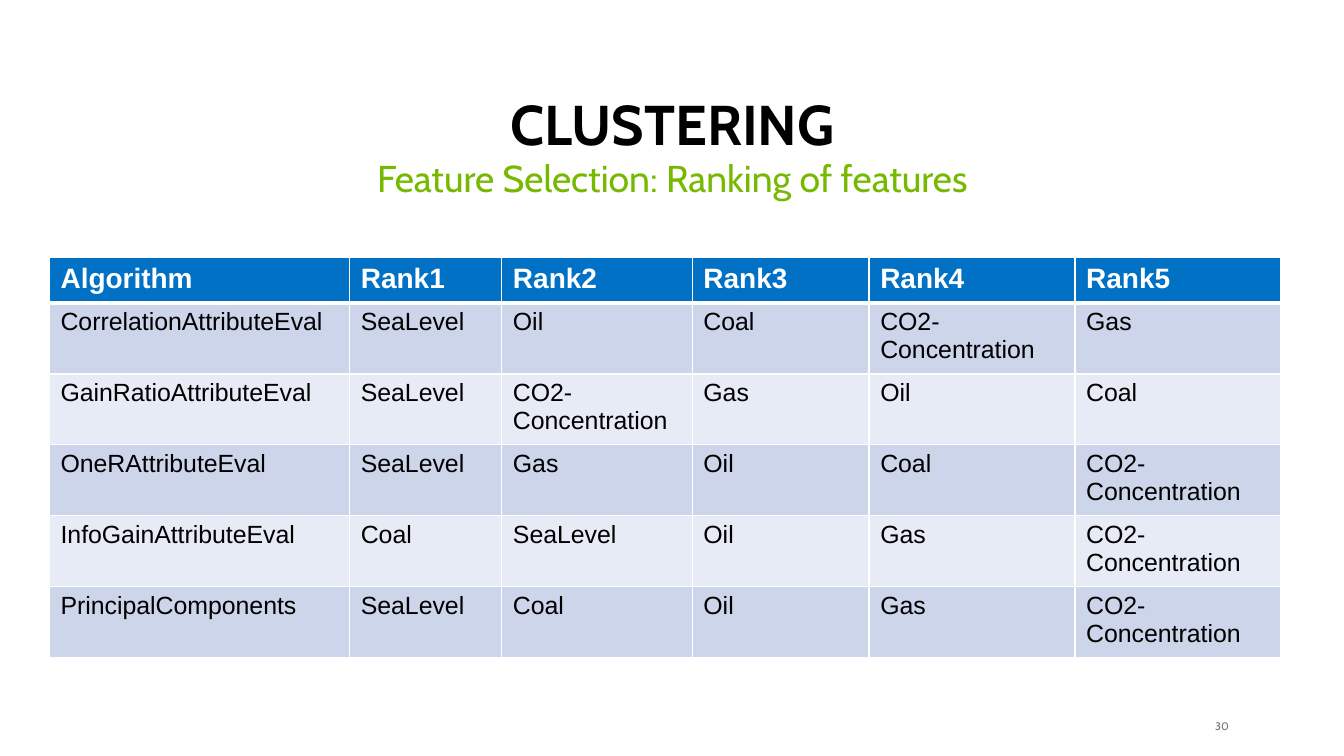
import lxml.etree
import pptx
import pptx.dml.color
import pptx.enum.text
import pptx.oxml.ns
import pptx.util

Cm = pptx.util.Cm
Pt = pptx.util.Pt
ALIGN = pptx.enum.text.PP_ALIGN
ANCHOR = pptx.enum.text.MSO_ANCHOR

COLUMN_WIDTHS = [6.81, 3.45, 4.32, 4.01, 4.67, 4.67]
ROW_HEIGHTS = [1.03, 1.5, 1.51, 1.56, 1.56, 1.56]
RANKING = [
    ["Algorithm", "Rank1", "Rank2", "Rank3", "Rank4", "Rank5"],
    ["CorrelationAttributeEval", "SeaLevel", "Oil", "Coal", "CO2-Concentration", "Gas"],
    ["GainRatioAttributeEval", "SeaLevel", "CO2-Concentration", "Gas", "Oil", "Coal"],
    ["OneRAttributeEval", "SeaLevel", "Gas", "Oil", "Coal", "CO2-Concentration"],
    ["InfoGainAttributeEval", "Coal", "SeaLevel", "Oil", "Gas", "CO2-Concentration"],
    ["PrincipalComponents", "SeaLevel", "Coal", "Oil", "Gas", "CO2-Concentration"],
]


def color(value):
    """Return the colour for a hex string."""
    return pptx.dml.color.RGBColor.from_string(value)


def style(paragraph, font, size, ink, bold=False):
    """Set the font of a whole paragraph."""
    paragraph.font.name = font
    paragraph.font.size = Pt(size)
    paragraph.font.bold = bold
    paragraph.font.color.rgb = color(ink)


def add_line(slide, box, text, size, ink, bold=False, align=ALIGN.CENTER, anchor=ANCHOR.TOP):
    """Place one line of text in a box and return its frame."""
    frame = slide.shapes.add_textbox(*map(Cm, box)).text_frame
    frame.word_wrap = True
    frame.vertical_anchor = anchor
    line = frame.paragraphs[0]
    line.text = text
    line.alignment = align
    style(line, "Cabin", size, ink, bold)
    return frame


def add_heading(slide, left, top, width):
    """Place the title with its subtitle below."""
    title = add_line(slide, (left, top, width, 1.65), "CLUSTERING", 36, "000000",
                     bold=True, anchor=ANCHOR.BOTTOM)
    subtitle = add_line(slide, (left, top + 1.45, width, 1.45),
                        "Feature Selection: Ranking of features", 24, "76B900")
    for frame in (title, subtitle):
        frame.paragraphs[0].line_spacing = 0.9


def add_border(cell, side, points):
    """Draw a white border on one side of a cell."""
    properties = cell._tc.get_or_add_tcPr()
    qn = pptx.oxml.ns.qn
    border = lxml.etree.SubElement(properties, qn(f"a:ln{side}"), w=str(Pt(points)))
    fill = lxml.etree.SubElement(border, qn("a:solidFill"))
    lxml.etree.SubElement(fill, qn("a:srgbClr"), val="FFFFFF")


def add_ranking(slide, left, top):
    """Place the banded table of feature ranks."""
    box = (left, top, sum(COLUMN_WIDTHS), sum(ROW_HEIGHTS))
    table = slide.shapes.add_table(len(RANKING), len(RANKING[0]), *map(Cm, box)).table
    for column, width in zip(table.columns, COLUMN_WIDTHS):
        column.width = Cm(width)
    for row, height in zip(table.rows, ROW_HEIGHTS):
        row.height = Cm(height)
    for r, features in enumerate(RANKING):
        header = r == 0
        band = "0071C5" if header else ("E7EBF5", "CCD5EA")[r % 2]
        for c, feature in enumerate(features):
            cell = table.cell(r, c)
            for side, points in (("L", 1), ("R", 1), ("T", 3 if r == 1 else 1), ("B", 3 if header else 1)):
                add_border(cell, side, points)
            cell.fill.solid()
            cell.fill.fore_color.rgb = color(band)
            cell.text = feature
            style(cell.text_frame.paragraphs[0], "Arial", 18 if header else 16,
                  "FFFFFF" if header else "000000", header)


def add_page_number(slide, box):
    """Place the page number at the right of its box."""
    frame = add_line(slide, box, "30", 7, "6E6E6E", align=ALIGN.RIGHT, anchor=ANCHOR.MIDDLE)
    frame.margin_left = frame.margin_right = frame.margin_top = frame.margin_bottom = 0


def main():
    """Build and save the slide."""
    deck = pptx.Presentation()
    deck.slide_width = Cm(30.48)
    deck.slide_height = Cm(17.145)
    slide = deck.slides.add_slide(deck.slide_layouts[6])
    add_page_number(slide, (26.98, 16.28, 0.89, 0.38))
    add_heading(slide, 1.4, 2.06, 27.7)
    add_ranking(slide, 1.12, 5.84)
    deck.save("out.pptx")


if __name__ == "__main__":
    main()
